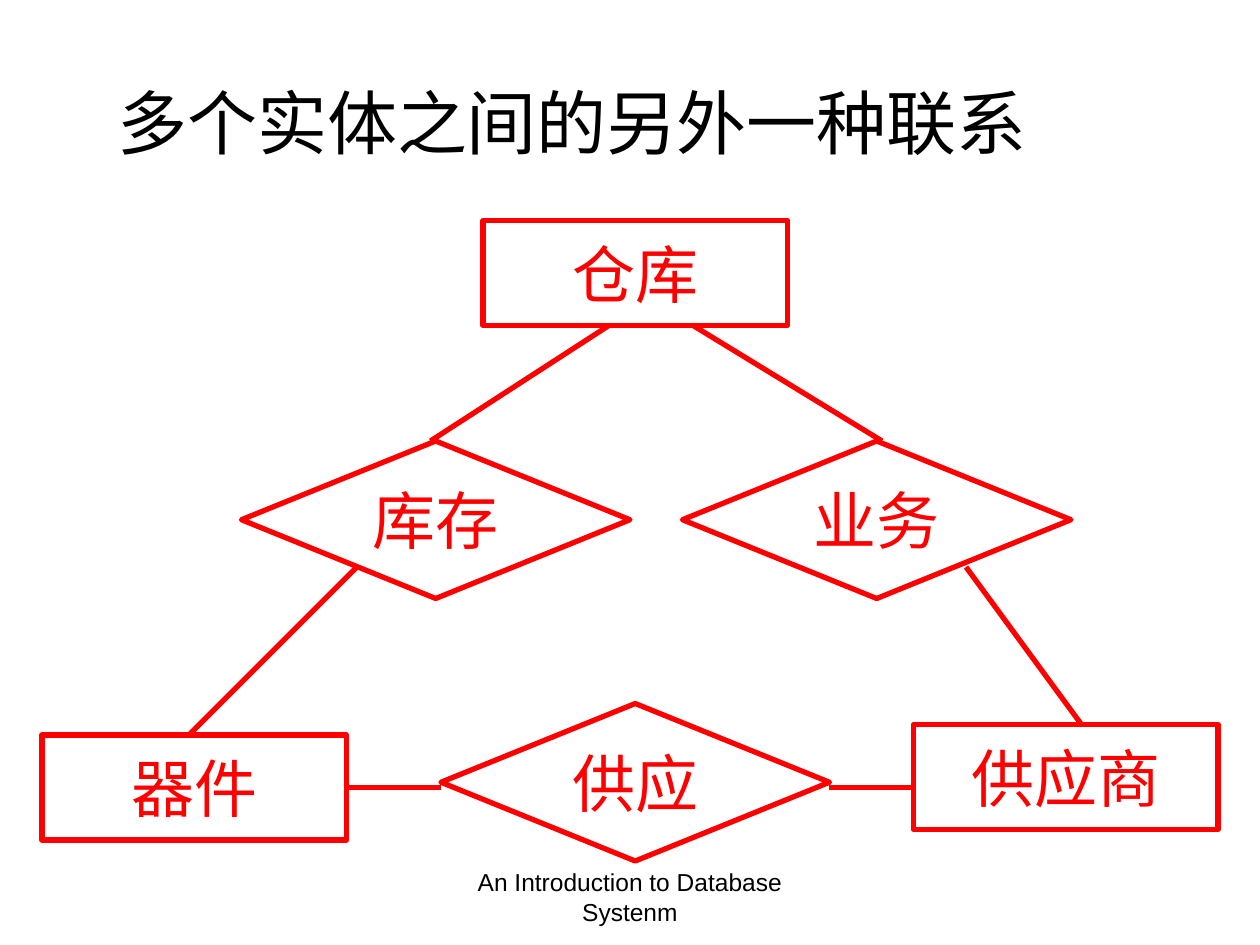
import pptx
import pptx.util
import pptx.dml.color
import pptx.enum.shapes
import pptx.enum.text
import pptx.oxml.ns
import lxml.etree

RED = "FF0000"
BLACK = "000000"
WHITE = "FFFFFF"
KIND = pptx.enum.shapes.MSO_SHAPE
ALIGN = pptx.enum.text.PP_ALIGN
qn = pptx.oxml.ns.qn

deck = pptx.Presentation()
deck.slide_width = pptx.util.Inches(10)
deck.slide_height = pptx.util.Inches(7.5)
cell = deck.slide_width / 120
slide = deck.slides.add_slide(deck.slide_layouts[6])


def grid(*spots):
    return [round(spot * cell) for spot in spots]


def write(shape, words, size, font, tint, align, wrap):
    frame = shape.text_frame
    frame.word_wrap = wrap
    para = frame.paragraphs[0]
    para.alignment = align
    run = para.add_run()
    run.text = words
    run.font.size = pptx.util.Pt(size)
    run.font.name = font
    run.font.color.rgb = pptx.dml.color.RGBColor.from_string(tint)


title = slide.shapes.add_textbox(*grid(10, 7, 89, 9.2))
write(title, "多个实体之间的另外一种联系", 40, "Times New Roman", BLACK, ALIGN.LEFT, False)

nodes = [
    (KIND.RECTANGLE, "仓库", 46, 21),
    (KIND.RECTANGLE, "器件", 4, 70),
    (KIND.RECTANGLE, "供应商", 87, 69),
    (KIND.FLOWCHART_DECISION, "库存", 23, 42),
    (KIND.FLOWCHART_DECISION, "业务", 65, 42),
    (KIND.FLOWCHART_DECISION, "供应", 42, 67),
]
sizes = {KIND.RECTANGLE: (29, 10), KIND.FLOWCHART_DECISION: (37, 15)}
for kind, words, col, row in nodes:
    node = slide.shapes.add_shape(kind, *grid(col, row, *sizes[kind]))
    node.shadow.inherit = False
    node.line.color.rgb = pptx.dml.color.RGBColor.from_string(RED)
    node.line.width = pptx.util.Pt(3)
    if kind == KIND.RECTANGLE:
        node.fill.background()
    else:
        node.fill.solid()
        node.fill.fore_color.rgb = pptx.dml.color.RGBColor.from_string(WHITE)
        tone = node.fill._xPr.find(qn("a:solidFill"))[0]
        lxml.etree.SubElement(tone, qn("a:alpha"), val="50000")
    node.text_frame.vertical_anchor = pptx.enum.text.MSO_ANCHOR.MIDDLE
    write(node, words, 36, "Times New Roman", RED, ALIGN.CENTER, False)

links = [
    (41, 42, 58, 31),
    (34, 54, 18, 70),
    (92, 54, 103, 69),
    (79, 75, 87, 75),
    (42, 75, 33, 75),
    (84, 42, 66, 31),
]
for ends in links:
    link = slide.shapes.add_connector(
        pptx.enum.shapes.MSO_CONNECTOR.STRAIGHT, *grid(*ends))
    link.line.color.rgb = pptx.dml.color.RGBColor.from_string(RED)
    link.line.width = pptx.util.Pt(3)
    lxml.etree.SubElement(link._element.spPr, qn("a:effectLst"))

foot = slide.shapes.add_textbox(*grid(41, 82, 38, 6.2))
write(foot, "An Introduction to Database Systenm", 14, "Arial", BLACK, ALIGN.CENTER, True)

deck.save("out.pptx")
